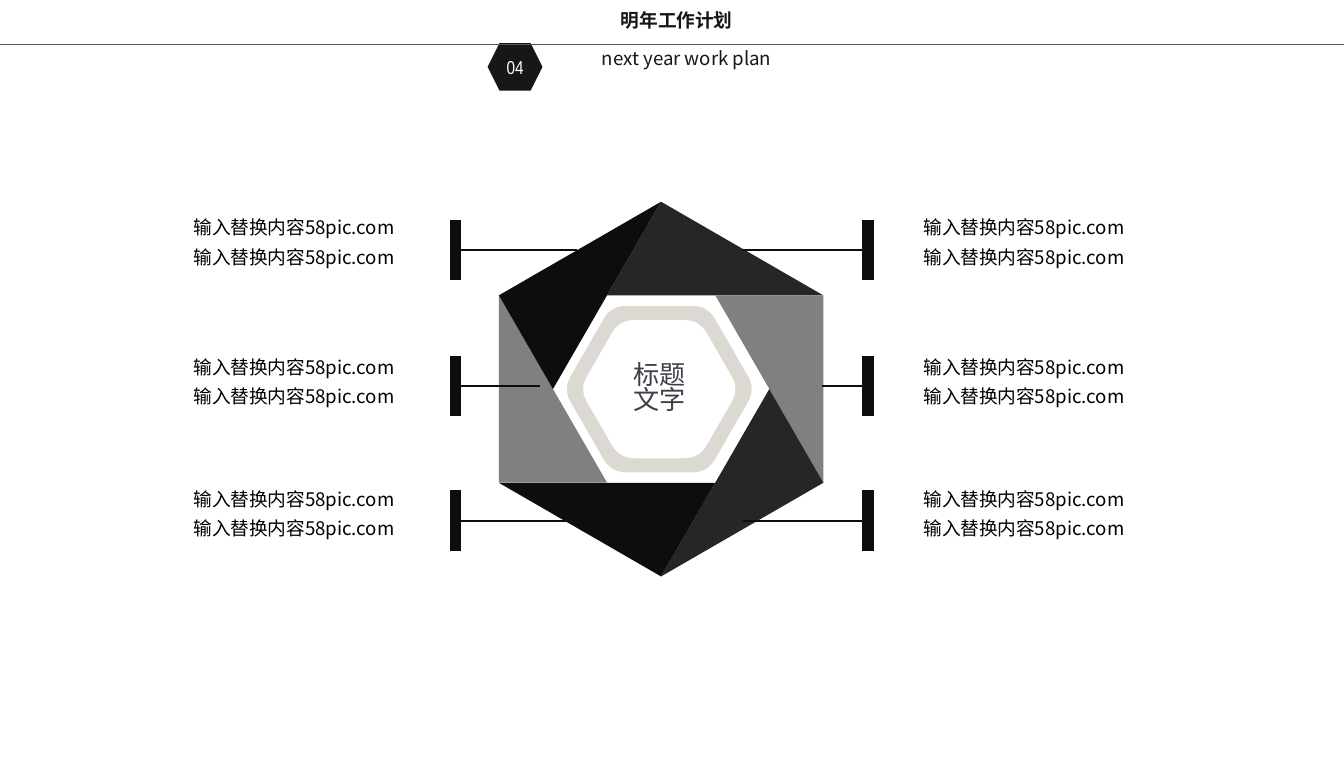
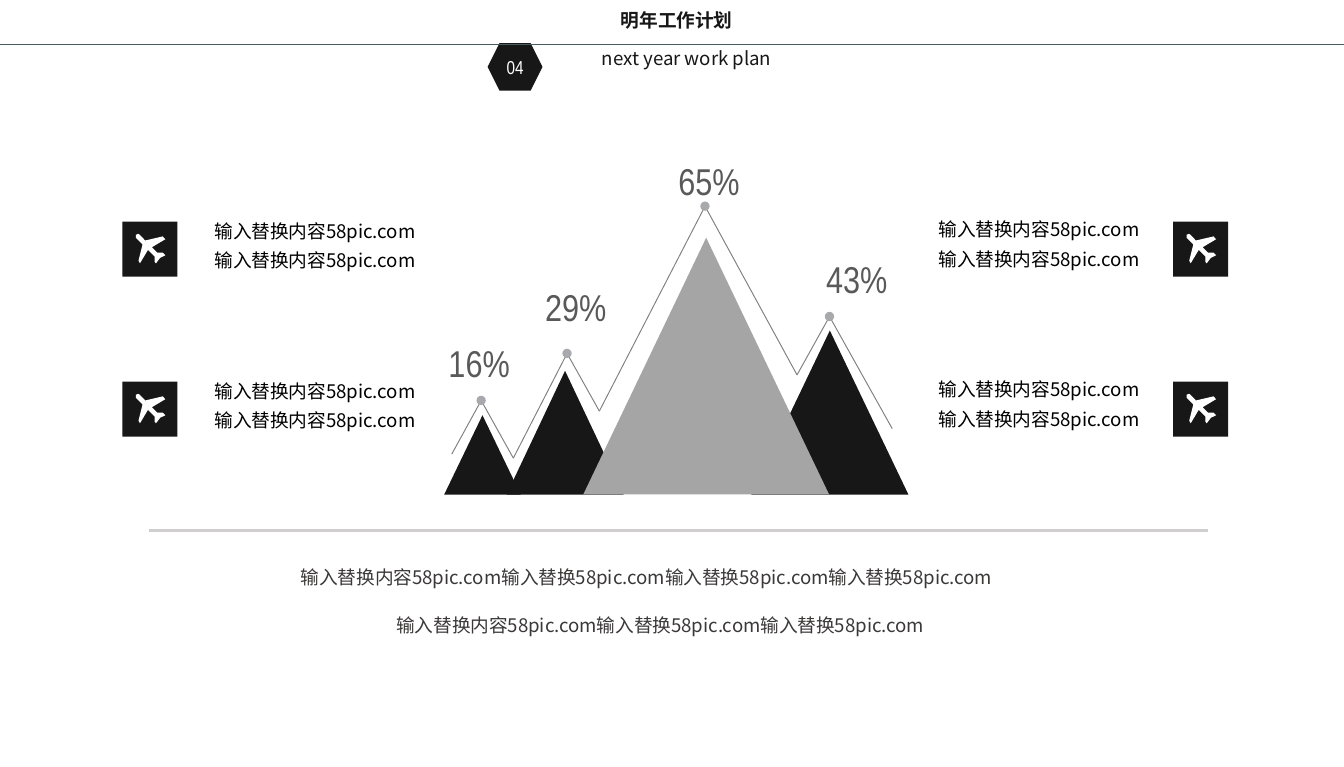
from math import cos, radians, sin

from lxml import etree
from pptx import Presentation
from pptx.dml.color import RGBColor
from pptx.enum.shapes import MSO_CONNECTOR, MSO_SHAPE
from pptx.enum.text import MSO_ANCHOR, MSO_AUTO_SIZE, PP_ALIGN
from pptx.oxml.ns import qn
from pptx.util import Pt

STRAIGHT = MSO_CONNECTOR.STRAIGHT
HEXAGON, RECT = MSO_SHAPE.HEXAGON, MSO_SHAPE.RECTANGLE
TRIANGLE, OVAL = MSO_SHAPE.ISOSCELES_TRIANGLE, MSO_SHAPE.OVAL
LEFT, CENTER = PP_ALIGN.LEFT, PP_ALIGN.CENTER
TOP, MIDDLE = MSO_ANCHOR.TOP, MSO_ANCHOR.MIDDLE
GROW, FIXED = MSO_AUTO_SIZE.SHAPE_TO_FIT_TEXT, MSO_AUTO_SIZE.NONE

INK = RGBColor(0x18, 0x17, 0x17)
NEAR_BLACK = RGBColor(0x0D, 0x0D, 0x0D)
CHARCOAL = RGBColor(0x26, 0x26, 0x26)
GRAY = RGBColor(0x80, 0x80, 0x80)
PEAK_GRAY = RGBColor(0xA5, 0xA5, 0xA5)
DOT_GRAY = RGBColor(0xA7, 0xA9, 0xAC)
RULE_GRAY = RGBColor(0xD0, 0xCE, 0xCE)
SLATE = RGBColor(0x49, 0x5C, 0x63)
SAND = RGBColor(0xDC, 0xD9, 0xD2)
RING_TEXT = RGBColor(0x3D, 0x40, 0x48)
LABEL_GRAY = RGBColor(0x59, 0x59, 0x59)
NOTE_GRAY = RGBColor(0x3B, 0x38, 0x38)
BLACK = RGBColor(0, 0, 0)
WHITE = RGBColor(0xFF, 0xFF, 0xFF)

CJK, NARROW = "Noto Sans CJK SC", "Arial Narrow"
CJK_SPACING = 0.81

FILLER = "输入替换内容58pic.com"
SHORT_FILLER = "输入替换58pic.com"

PLANE = [(21.6, 16.6), (18.7, 16.6), (15.8, 13.7), (23, 9.4), (21.6, 7.9),
         (12.2, 10.1), (9.4, 7.2), (8.6, 6.5), (7.2, 7), (7.2, 8.6),
         (10.8, 12.2), (8.6, 20.9), (9.4, 22.3), (13.7, 15.1), (17.3, 18.7),
         (17.3, 21.6), (18, 22.3), (20.2, 19.4), (23, 18)]


def write(shape, lines, color, size=10, font=CJK, bold=False, align=LEFT,
          before=0, **frame):
    tf = shape.text_frame
    for name, value in {"word_wrap": True, "vertical_anchor": TOP,
                        "auto_size": GROW, **frame}.items():
        setattr(tf, name, value)
    for i, line in enumerate(lines):
        p = tf.paragraphs[0] if i == 0 else tf.add_paragraph()
        p.alignment = align
        if font == CJK:
            p.line_spacing = CJK_SPACING
        if i and before:
            p.space_before = Pt(before)
        r = p.add_run()
        r.text = line
        for name, value in {"size": Pt(size), "name": font, "bold": bold}.items():
            setattr(r.font, name, value)
        r.font.color.rgb = color
        etree.SubElement(r.font._element, qn("a:ea"), typeface=font)


def text(s, x, y, w, h, lines, color, **fmt):
    write(s.shapes.add_textbox(Pt(x), Pt(y), Pt(w), Pt(h)), lines, color, **fmt)


def paint(shape, color):
    shape.shadow.inherit = False
    shape.fill.solid()
    shape.fill.fore_color.rgb = color
    shape.line.fill.background()
    return shape


def block(s, kind, x, y, w, h, color):
    return paint(s.shapes.add_shape(kind, Pt(x), Pt(y), Pt(w), Pt(h)), color)


def outline(s, color, *contours):
    """Filled freeform; later contours cut holes in the first."""
    builder = None
    for contour in contours:
        pts = [(Pt(x), Pt(y)) for x, y in contour]
        if builder is None:
            builder = s.shapes.build_freeform(*pts[0], scale=1.0)
        else:
            builder.move_to(*pts[0])
        builder.add_line_segments(pts[1:], close=True)
    return paint(builder.convert_to_shape(), color)


def line(s, x1, y1, x2, y2, color, width):
    c = s.shapes.add_connector(STRAIGHT, Pt(x1), Pt(y1), Pt(x2), Pt(y2))
    c.line.color.rgb = color
    c.line.width = Pt(width)
    etree.SubElement(c._element.spPr, qn("a:effectLst"))


def filler_pair(s, x, y, w):
    text(s, x, y, w, 37.5, [FILLER] * 2, BLACK, align=CENTER, before=6)


def header(s):
    text(s, 332.6, 5.8, 207, 12.2, ["明年工作计划"], INK, bold=True,
         vertical_anchor=MIDDLE, margin_left=0, margin_right=0,
         margin_top=0, margin_bottom=0)
    text(s, 315.4, 23.8, 109.4, 19.4, ["next year work plan"], INK, word_wrap=False)
    badge = block(s, HEXAGON, 261.2, 23.2, 29.4, 25.4, INK)
    write(badge, ["04"], WHITE, font=NARROW, align=CENTER, word_wrap=False,
          vertical_anchor=MIDDLE, auto_size=FIXED)
    line(s, 0, 23.7, 720, 23.7, SLATE, 0.5)


def polar(cx, cy, radius, degrees):
    a = radians(degrees)
    return cx + radius * cos(a), cy + radius * sin(a)


def rounded_hexagon(cx, cy, radius, trim, steps=6):
    corners = [polar(cx, cy, radius, 60 * i) for i in range(6)]

    def toward(a, b):
        return [u + (v - u) * trim / radius for u, v in zip(a, b)]

    pts = []
    for i, corner in enumerate(corners):
        start = toward(corner, corners[i - 1])
        end = toward(corner, corners[(i + 1) % 6])
        for t in (k / steps for k in range(steps + 1)):
            pts.append([(1 - t) ** 2 * a + 2 * t * (1 - t) * b + t * t * c
                        for a, b, c in zip(start, corner, end)])
    return pts


def pinwheel(s, cx, cy, radius):
    colors = [CHARCOAL, GRAY, CHARCOAL, NEAR_BLACK, GRAY, NEAR_BLACK]
    for i, color in enumerate(colors):
        turn = 60 * i
        outline(s, color, [polar(cx, cy, radius, turn - 90),
                           polar(cx, cy, radius, turn - 30),
                           polar(cx, cy, radius / 3 ** 0.5, turn - 120)])
    ring = outline(s, SAND, rounded_hexagon(cx - 1, cy, 51.5, 8),
                   rounded_hexagon(cx - 1, cy, 42.8, 8))
    write(ring, ["标题", "文字"], RING_TEXT, size=14, align=CENTER,
          vertical_anchor=MIDDLE, auto_size=FIXED, margin_left=Pt(4),
          margin_right=Pt(4), margin_top=Pt(2), margin_bottom=Pt(2))


def callout(s, bar_x, y, tip_x, text_x, text_y):
    line(s, bar_x, y, tip_x, y, NEAR_BLACK, 1)
    line(s, bar_x, y - 16.2, bar_x, y + 16.2, NEAR_BLACK, 6)
    filler_pair(s, text_x, text_y, 155)


def mountains(s, x, y):
    base = 184
    trail = [(4, 162.4), (19.8, 133.6), (37, 164.5), (65.8, 108.4), (83.1, 139.3),
             (139.7, 29.5), (189, 119.9), (206.4, 88.6), (240, 148.7)]
    for (x1, y1), (x2, y2) in zip(trail, trail[1:]):
        line(s, x + x1, y + y1, x + x2, y + y2, GRAY, 0.5)
    for left, width, top, color in [(164.5, 84.2, 96.1, INK), (33.4, 62.7, 117.7, INK),
                                    (0, 41, 141.5, INK), (74.5, 131.7, 46.4, PEAK_GRAY)]:
        block(s, TRIANGLE, x + left, y + top, width, base - top, color)
    for px, py in trail[1::2]:
        block(s, OVAL, x + px - 2.5, y + py - 2.5, 5, 5, DOT_GRAY)
    for label, mid, top in [("16%", 18.7, 97.6), ("29%", 70.5, 68),
                            ("65%", 141.8, 0.4), ("43%", 221, 53)]:
        text(s, x + mid - 35, y + top, 70, 21.6, [label], LABEL_GRAY,
             size=20, font=NARROW, align=CENTER)


def plane_tile(s, x, y):
    block(s, RECT, x, y, 29.5, 29.5, INK)
    outline(s, WHITE, [(x + px, y + py) for px, py in PLANE])


def hexagon_slide(s):
    header(s)
    pinwheel(s, 354.2, 208.5, 100.4)
    for y, left_tip, right_tip, text_y in [(134, 309, 398, 114.5),
                                           (206.8, 289.5, 440.6, 189.4),
                                           (279, 310, 398, 260)]:
        callout(s, 244, y, left_tip, 80, text_y)
        callout(s, 465, y, right_tip, 471, text_y)


def mountain_slide(s):
    header(s)
    mountains(s, 238, 81)
    for y in (118.8, 204.5):
        plane_tile(s, 65.6, y)
        filler_pair(s, 93.2, y - 2.5, 151)
        plane_tile(s, 628.5, y)
        filler_pair(s, 481, y - 3.3, 151)
    line(s, 80, 284.2, 647, 284.2, RULE_GRAY, 1.5)
    for x, y, w, repeats in [(205.2, 327.6, 378.7, 2), (154, 301.7, 435.6, 3)]:
        text(s, x, y, w, 19.4, [FILLER + SHORT_FILLER * repeats], NOTE_GRAY)


def main():
    prs = Presentation()
    prs.slide_width, prs.slide_height = Pt(720), Pt(411)
    for build in (hexagon_slide, mountain_slide):
        build(prs.slides.add_slide(prs.slide_layouts[6]))
    prs.save("out.pptx")


if __name__ == "__main__":
    main()
